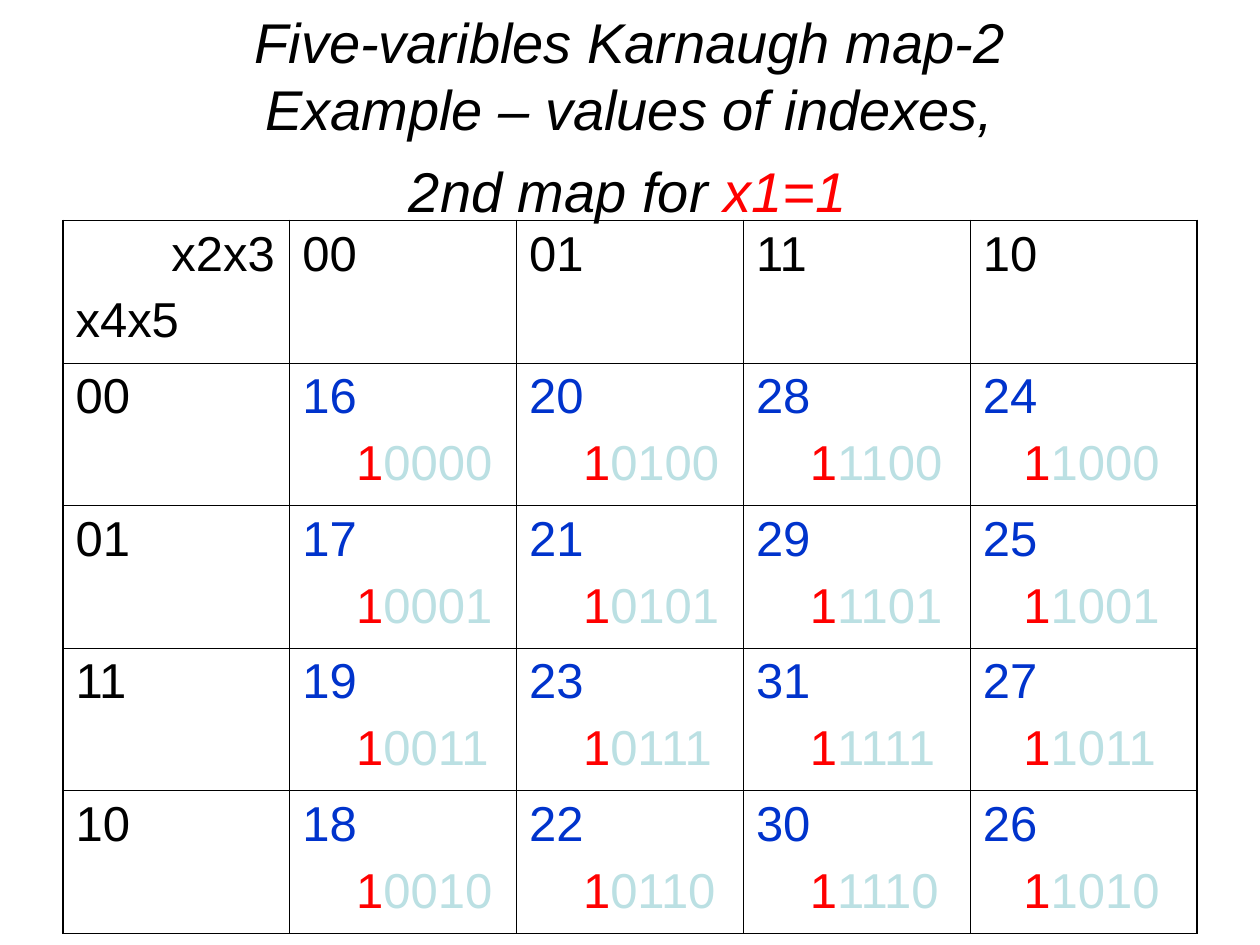
from lxml.etree import SubElement as Sub
from pptx import Presentation
from pptx.dml.color import RGBColor as RGB
from pptx.enum.text import MSO_ANCHOR as Anchor, PP_ALIGN as Align
from pptx.oxml.ns import qn
from pptx.util import Pt

PX = 9525  # 96 px to the inch
HUES = {"ink": "000000", "red": "FF0000", "blue": "0033CC", "pale": "BBE0E3"}
CODES = ["00", "01", "11", "10"]  # Gray code order
SIZE = 5


def add_run(para, text, hue, **form):
    run = para.add_run()
    run.text = text
    for key, val in {"name": "Arial", "size": Pt(28), **form}.items():
        setattr(run.font, key, val)
    run.font.color.rgb = RGB.from_string(HUES[hue])


def add_edge(cell, side, width):
    line = Sub(cell._tc.get_or_add_tcPr(), qn(f"a:ln{side}"), w=str(Pt(width)))
    fill = Sub(line, qn("a:solidFill"))
    Sub(fill, qn("a:srgbClr"), val=HUES["ink"])


deck = Presentation()
deck.slide_width, deck.slide_height = 960 * PX, 720 * PX
slide = deck.slides.add_slide(deck.slide_layouts[6])

# Title
box = slide.shapes.add_textbox(48 * PX, 29 * PX, 864 * PX, 120 * PX)
frame = box.text_frame
for key, val in {"word_wrap": True, "vertical_anchor": Anchor.MIDDLE}.items():
    setattr(frame, key, val)
para = frame.paragraphs[0]
para.alignment = Align.CENTER
head = {"size": Pt(32), "italic": True}
for text in ["Five-varibles Karnaugh map-2", "Example – values of indexes,"]:
    add_run(para, text, "ink", **head)
    para.add_line_break()
add_run(para, " 2nd map for ", "ink", **head)
add_run(para, "x1=1", "red", **head)
add_run(para, " ", "ink", size=Pt(40), italic=True)

# Karnaugh map
grid = slide.shapes.add_table(
    SIZE, SIZE, 48 * PX, 168 * PX, 864 * PX, 540 * PX).table
for key in ["first_row", "horz_banding"]:
    setattr(grid, key, False)

for row in range(SIZE):
    for col in range(SIZE):
        # Each line of a cell: indent in px, then its runs
        if row and col:
            low = CODES[col - 1] + CODES[row - 1]
            index = str(int("1" + low, 2))
            inset = 31 if col == SIZE - 1 else 41
            lines = [(0, [(index, "blue")]),
                     (inset, [("1", "red"), (low, "pale")])]
        elif row or col:
            lines = [(0, [(CODES[max(row, col) - 1], "ink")])]
        else:
            lines = [(73, [("x2x3", "ink")]), (0, [("x4x5", "ink")])]

        cell = grid.cell(row, col)
        frame = cell.text_frame
        for num, (inset, runs) in enumerate(lines):
            para = frame.add_paragraph() if num else frame.paragraphs[0]
            para.space_before = Pt(7)
            para._p.get_or_add_pPr().set("marL", str(inset * PX))
            for text, hue in runs:
                add_run(para, text, hue)

        # Thick outer frame, thin inner lines
        outer = {"L": col == 0, "R": col == SIZE - 1,
                 "T": row == 0, "B": row == SIZE - 1}
        for side, edge in outer.items():
            add_edge(cell, side, 1.08 if edge else 0.45)
        cell.fill.background()

deck.save("out.pptx")
